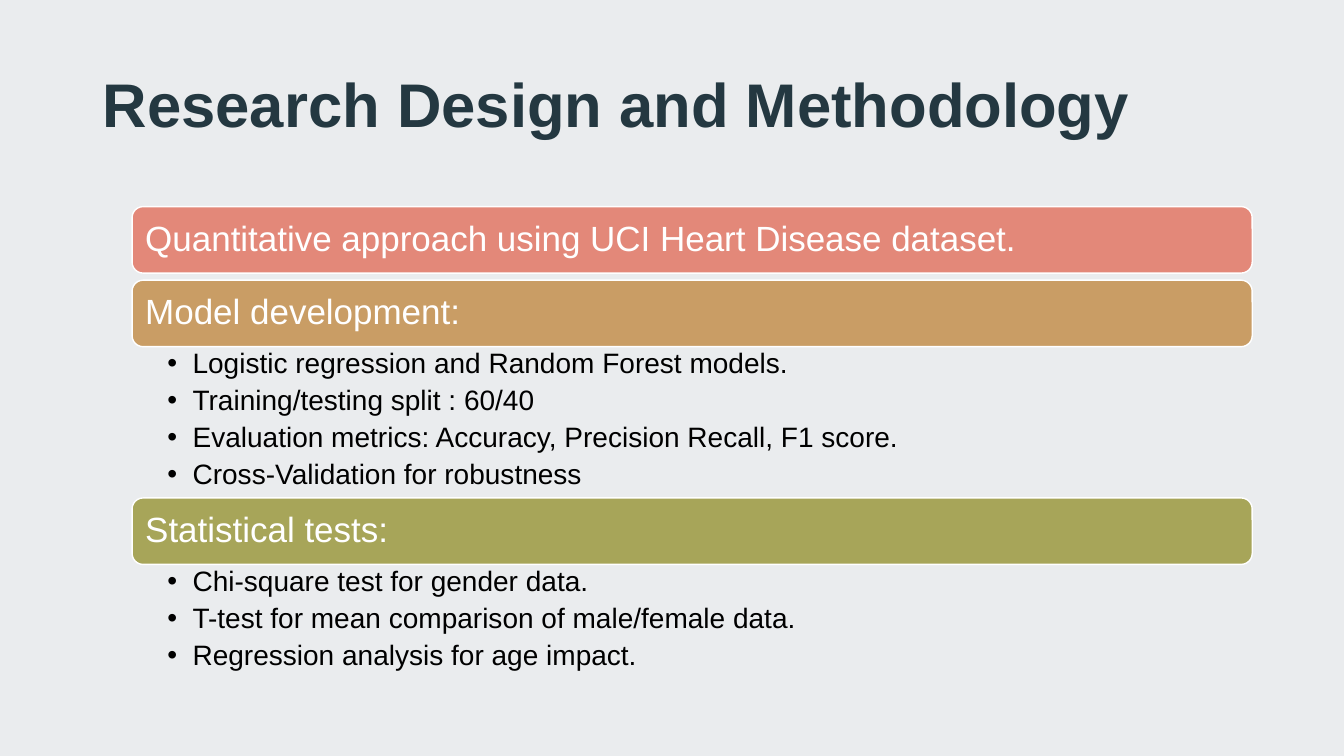
"""Build the research design and methodology slide."""
from dataclasses import dataclass

from lxml.etree import SubElement
from pptx import Presentation
from pptx.dml.color import RGBColor
from pptx.enum.shapes import MSO_SHAPE
from pptx.enum.text import MSO_ANCHOR, PP_ALIGN
from pptx.oxml.ns import qn
from pptx.util import Inches, Pt

TITLE = "Research Design and Methodology"
SECTIONS = [
    ("Quantitative approach using UCI Heart Disease dataset.", "E38879", []),
    ("Model development:", "C99D65", [
        "Logistic regression and Random Forest models.",
        "Training/testing split : 60/40",
        "Evaluation metrics: Accuracy, Precision Recall, F1 score.",
        "Cross-Validation for robustness",
    ]),
    ("Statistical tests:", "A7A559", [
        "Chi-square test for gender data.",
        "T-test for mean comparison of male/female data.",
        "Regression analysis for age impact.",
    ]),
]


@dataclass(frozen=True)
class Theme:
    font: str = "Arial"
    title: str = "243841"
    text: str = "000000"
    light: str = "FFFFFF"
    wash: str = "E2E5E8"
    title_size: int = 44
    bar_size: int = 25
    item_size: int = 20


THEME = Theme()
WIDTH, HEIGHT = 13.33, 7.5
LEFT, TOP, BAR_W, BAR_H = 1.31, 2.05, 11.11, 0.66
GAP, ITEM_H, INDENT = 0.07, 0.375, 0.25


def set_margins(tf, left, top, right, bottom):
    tf.margin_left, tf.margin_top = Inches(left), Inches(top)
    tf.margin_right, tf.margin_bottom = Inches(right), Inches(bottom)
    tf.word_wrap = True


def style(p, size, color, bold=False):
    p.alignment = PP_ALIGN.LEFT
    for r in p.runs:
        r.font.name, r.font.size, r.font.bold = THEME.font, Pt(size), bold
        r.font.color.rgb = RGBColor.from_string(color)


def add_box(s, kind, box, color):
    sp = s.shapes.add_shape(kind, *map(Inches, box))
    sp.shadow.inherit = False
    sp.fill.solid()
    sp.fill.fore_color.rgb = RGBColor.from_string(color)
    return sp


def add_background(s):
    s.background.fill.solid()
    s.background.fill.fore_color.rgb = RGBColor.from_string(THEME.light)
    sp = add_box(s, MSO_SHAPE.RECTANGLE, (0, 0, WIDTH, HEIGHT), THEME.wash)
    sp.line.fill.background()
    color = sp.fill._xPr.find(qn("a:solidFill"))[0]
    SubElement(color, qn("a:alpha"), val="70000")


def add_title(s):
    tf = s.shapes.add_textbox(*map(Inches, (0.92, 0.61, 11.32, 1.4))).text_frame
    set_margins(tf, 0.1, 0.05, 0.1, 0.05)
    tf.text = TITLE
    style(tf.paragraphs[0], THEME.title_size, THEME.title, bold=True)


def add_bar(s, top, heading, color):
    sp = add_box(s, MSO_SHAPE.ROUNDED_RECTANGLE, (LEFT, top, BAR_W, BAR_H), color)
    sp.line.color.rgb = RGBColor.from_string(THEME.light)
    sp.line.width = Pt(1)
    tf = sp.text_frame
    set_margins(tf, 0.1, 0.1, 0.1, 0.1)
    tf.vertical_anchor = MSO_ANCHOR.MIDDLE
    tf.text = heading
    p = tf.paragraphs[0]
    p.line_spacing = 0.9
    style(p, THEME.bar_size, THEME.light)


def add_items(s, top, items):
    box = (LEFT, top, BAR_W, ITEM_H * len(items))
    tf = s.shapes.add_textbox(*map(Inches, box)).text_frame
    set_margins(tf, 0.35, 0.03, 0.19, 0.03)
    tf.text = "\n".join(items)
    for p in tf.paragraphs:
        p.line_spacing, p.space_after = 0.9, Pt(4.8)
        style(p, THEME.item_size, THEME.text)
        pPr = p._p.get_or_add_pPr()
        pPr.set("marL", str(Inches(INDENT)))
        pPr.set("indent", str(-Inches(INDENT)))
        SubElement(pPr, qn("a:buFont"), typeface=THEME.font)
        SubElement(pPr, qn("a:buChar"), char="•")


def main():
    prs = Presentation()
    prs.slide_width, prs.slide_height = Inches(WIDTH), Inches(HEIGHT)
    s = prs.slides.add_slide(prs.slide_layouts[6])
    add_background(s)
    add_title(s)
    top = TOP
    for heading, color, items in SECTIONS:
        add_bar(s, top, heading, color)
        top += BAR_H
        if items:
            add_items(s, top, items)
        top += ITEM_H * len(items) or GAP
    prs.save("out.pptx")


if __name__ == "__main__":
    main()
